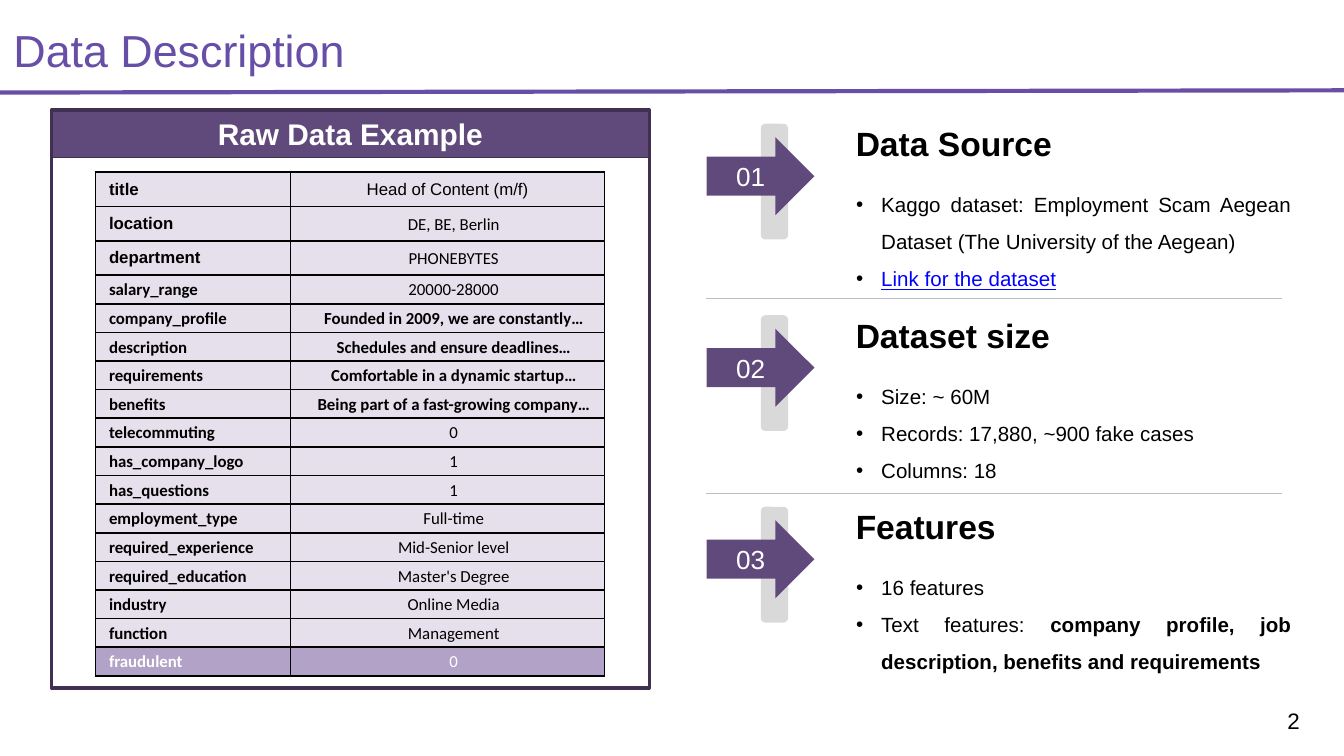
from lxml.etree import SubElement
from pptx import Presentation
from pptx.dml.color import RGBColor
from pptx.enum.shapes import MSO_CONNECTOR, MSO_SHAPE
from pptx.enum.text import MSO_ANCHOR, MSO_AUTO_SIZE, PP_ALIGN
from pptx.oxml.ns import qn
from pptx.util import Pt

BLACK = RGBColor(0x00, 0x00, 0x00)
WHITE = RGBColor(0xFF, 0xFF, 0xFF)
VIOLET = RGBColor(0x67, 0x4E, 0xA7)
PURPLE = RGBColor(0x60, 0x4A, 0x7B)
DARK_PURPLE = RGBColor(0x40, 0x31, 0x52)
LILAC = RGBColor(0xE6, 0xE0, 0xEC)
MID_LILAC = RGBColor(0xB3, 0xA2, 0xC7)
BAR_GREY = RGBColor(0xD9, 0xD9, 0xD9)
RULE_GREY = RGBColor(0xBF, 0xBF, 0xBF)
LINK_BLUE = RGBColor(0x00, 0x00, 0xFF)

TALL_ROWS = 3
TALL, SHORT = 18.4, 15.35
RECORD = [
    ("title", "Head of Content (m/f)"),
    ("location", "DE, BE, Berlin"),
    ("department", "PHONEBYTES"),
    ("salary_range", "20000-28000"),
    ("company_profile", "Founded in 2009, we are constantly…"),
    ("description", "Schedules and ensure deadlines…"),
    ("requirements", "Comfortable in a dynamic startup…"),
    ("benefits", "Being part of a fast-growing company…"),
    ("telecommuting", "0"),
    ("has_company_logo", "1"),
    ("has_questions", "1"),
    ("employment_type", "Full-time"),
    ("required_experience", "Mid-Senior level"),
    ("required_education", "Master's Degree"),
    ("industry", "Online Media"),
    ("function", "Management"),
    ("fraudulent", "0"),
]

# Heading, list height, and list items made of (text, style) runs
SECTIONS = [
    ("Data Source", 62, [
        [("Kaggo dataset: Employment Scam Aegean Dataset "
          "(The University of the Aegean)", {})],
        [("Link for the dataset", {"color": LINK_BLUE, "underline": True})],
    ]),
    ("Dataset size", 48.2, [
        [("Size: ~ 60M", {})],
        [("Records: 17,880, ~900 fake cases", {})],
        [("Columns: 18", {})],
    ]),
    ("Features", 64, [
        [("16 features", {})],
        [("Text features: ", {}),
         ("company profile, job description, benefits and requirements",
          {"bold": True})],
    ]),
]
SECTION_TOP, SECTION_PITCH = 60.5, 102.6


class Deck:
    """Keeps the style and the current slide; lengths are in points."""

    font = "Arial"

    def __init__(self, s):
        self.s = s

    def style(self, r, size, color=BLACK, bold=False, underline=False, font=None):
        r.font.name = font or self.font
        r.font.size = Pt(size)
        r.font.color.rgb = color
        r.font.bold = bold
        r.font.underline = underline

    def set_text(self, tf, text, size, align=PP_ALIGN.LEFT,
                 anchor=MSO_ANCHOR.MIDDLE, **look):
        tf.text = text
        tf.vertical_anchor = anchor
        p = tf.paragraphs[0]
        p.alignment = align
        self.style(p.runs[0], size, **look)

    def place(self, sp, x, y, w, h):
        sp.left, sp.top, sp.width, sp.height = Pt(x), Pt(y), Pt(w), Pt(h)

    def title(self, text, box):
        sp = self.s.shapes.title
        self.place(sp, *box)
        tf = sp.text_frame
        tf.auto_size = MSO_AUTO_SIZE.NONE
        tf.margin_top = Pt(7.2)
        self.set_text(tf, text, 24, anchor=MSO_ANCHOR.TOP, color=VIOLET)

    def text(self, text, box, size, **look):
        tf = self.s.shapes.add_textbox(*map(Pt, box)).text_frame
        tf.word_wrap = True
        self.set_text(tf, text, size, **look)

    def shape(self, kind, box, fill=None, line=None, width=0.75):
        sp = self.s.shapes.add_shape(kind, *map(Pt, box))
        sp.shadow.inherit = False
        if fill is None:
            sp.fill.background()
        else:
            sp.fill.solid()
            sp.fill.fore_color.rgb = fill
        if line is None:
            sp.line.fill.background()
        else:
            sp.line.color.rgb = line
            sp.line.width = Pt(width)
        return sp

    def line(self, ends, color, width):
        c = self.s.shapes.add_connector(MSO_CONNECTOR.STRAIGHT, *map(Pt, ends))
        c.line.color.rgb = color
        c.line.width = Pt(width)
        SubElement(c._element.spPr, qn("a:effectLst"))

    def bullets(self, sp, items, box):
        self.place(sp, *box)
        tf = sp.text_frame
        tf.auto_size = MSO_AUTO_SIZE.NONE
        tf.vertical_anchor = MSO_ANCHOR.TOP
        for i, runs in enumerate(items):
            p = tf.add_paragraph() if i else tf.paragraphs[0]
            p.alignment = PP_ALIGN.JUSTIFY
            p.line_spacing = 1.5
            p.space_before = p.space_after = Pt(0)
            pPr = p._p.get_or_add_pPr()
            pPr.set("marL", str(Pt(13.5)))
            pPr.set("indent", str(-Pt(13.5)))
            color = SubElement(pPr, qn("a:buClr"))
            SubElement(color, qn("a:srgbClr"), val=str(BLACK))
            SubElement(pPr, qn("a:buFont"), typeface=self.font)
            SubElement(pPr, qn("a:buChar"), char="•")
            for text, look in runs:
                r = p.add_run()
                r.text = text
                self.style(r, 11, **look)

    def cell(self, cell, text, fill, tight, **look):
        if tight:
            cell.margin_left, cell.margin_right = Pt(7.2), Pt(0.7)
            cell.margin_top, cell.margin_bottom = Pt(0.7), Pt(0)
        self.set_text(cell.text_frame, text, 9, **look)
        cell.vertical_anchor = MSO_ANCHOR.MIDDLE
        tcPr = cell._tc.get_or_add_tcPr()
        for side in ("a:lnL", "a:lnR", "a:lnT", "a:lnB"):
            ln = SubElement(tcPr, qn(side), w=str(Pt(1)))
            solid = SubElement(ln, qn("a:solidFill"))
            SubElement(solid, qn("a:srgbClr"), val=str(BLACK))
        cell.fill.solid()
        cell.fill.fore_color.rgb = fill

    def record_table(self, rows, x, y, widths):
        heights = [TALL if i < TALL_ROWS else SHORT for i in range(len(rows))]
        table = self.s.shapes.add_table(
            len(rows), 2, Pt(x), Pt(y), Pt(sum(widths)), Pt(sum(heights))).table
        table.first_row = table.horz_banding = False
        for column, w in zip(table.columns, widths):
            column.width = Pt(w)
        for i, (name, value) in enumerate(rows):
            table.rows[i].height = Pt(heights[i])
            target = name == "fraudulent"
            fill, color = (MID_LILAC, WHITE) if target else (LILAC, BLACK)
            tall = i < TALL_ROWS
            self.cell(table.cell(i, 0), name, fill, not tall, color=color,
                      bold=True, font="Arial" if tall else "Calibri")
            self.cell(table.cell(i, 1), value, fill, i > 0, color=color,
                      bold=value.endswith("…"), align=PP_ALIGN.CENTER,
                      font="Calibri" if i else "Arial")

    def section(self, number, heading, items, height, sp, y):
        self.bullets(sp, items, (451.4, y + 32.4, 247.7, height))
        self.text(heading, (451.4, y, 247.7, 32.4), 18, bold=True,
                  align=PP_ALIGN.JUSTIFY)
        self.shape(MSO_SHAPE.ROUNDED_RECTANGLE, (407.6, y + 5.8, 14.6, 62), BAR_GREY)
        arrow = self.shape(MSO_SHAPE.RIGHT_ARROW, (378.5, y + 13, 57.8, 41.8), PURPLE)
        arrow.text_frame.word_wrap = False
        self.set_text(arrow.text_frame, f"{number:02}", 14, color=WHITE,
                      align=PP_ALIGN.CENTER)


def main():
    prs = Presentation()
    prs.slide_width, prs.slide_height = Pt(720), Pt(405)
    s = prs.slides.add_slide(prs.slide_layouts.get_by_name("Comparison"))
    deck = Deck(s)
    _, *bodies = s.placeholders

    # Title and rule
    deck.title("Data Description", (0, 5, 600, 42.5))
    deck.line((0, 49.6, 720, 48.4), VIOLET, 2.25)

    # Raw data panel
    header = deck.shape(MSO_SHAPE.RECTANGLE, (27.6, 59, 320.2, 25.4),
                        PURPLE, DARK_PURPLE)
    deck.set_text(header.text_frame, "Raw Data Example", 16, color=WHITE,
                  bold=True, align=PP_ALIGN.CENTER)
    deck.shape(MSO_SHAPE.RECTANGLE, (27.6, 59, 320.2, 309.6),
               line=DARK_PURPLE, width=1.73)
    deck.record_table(RECORD, 51.2, 92.2, (104.4, 168.3))

    # Numbered sections
    for i, (heading, height, items) in enumerate(SECTIONS):
        deck.section(i + 1, heading, items, height, bodies[i],
                     SECTION_TOP + i * SECTION_PITCH)
    for y in (159.8, 264.2):
        deck.line((378.5, y, 687, y), RULE_GREY, 0.25)

    # Slide number
    deck.text("2", (656.6, 375.4, 46.8, 21.6), 12, align=PP_ALIGN.RIGHT)

    # Unused placeholder
    for sp in bodies[len(SECTIONS):]:
        sp._element.getparent().remove(sp._element)

    prs.save("out.pptx")


if __name__ == "__main__":
    main()
